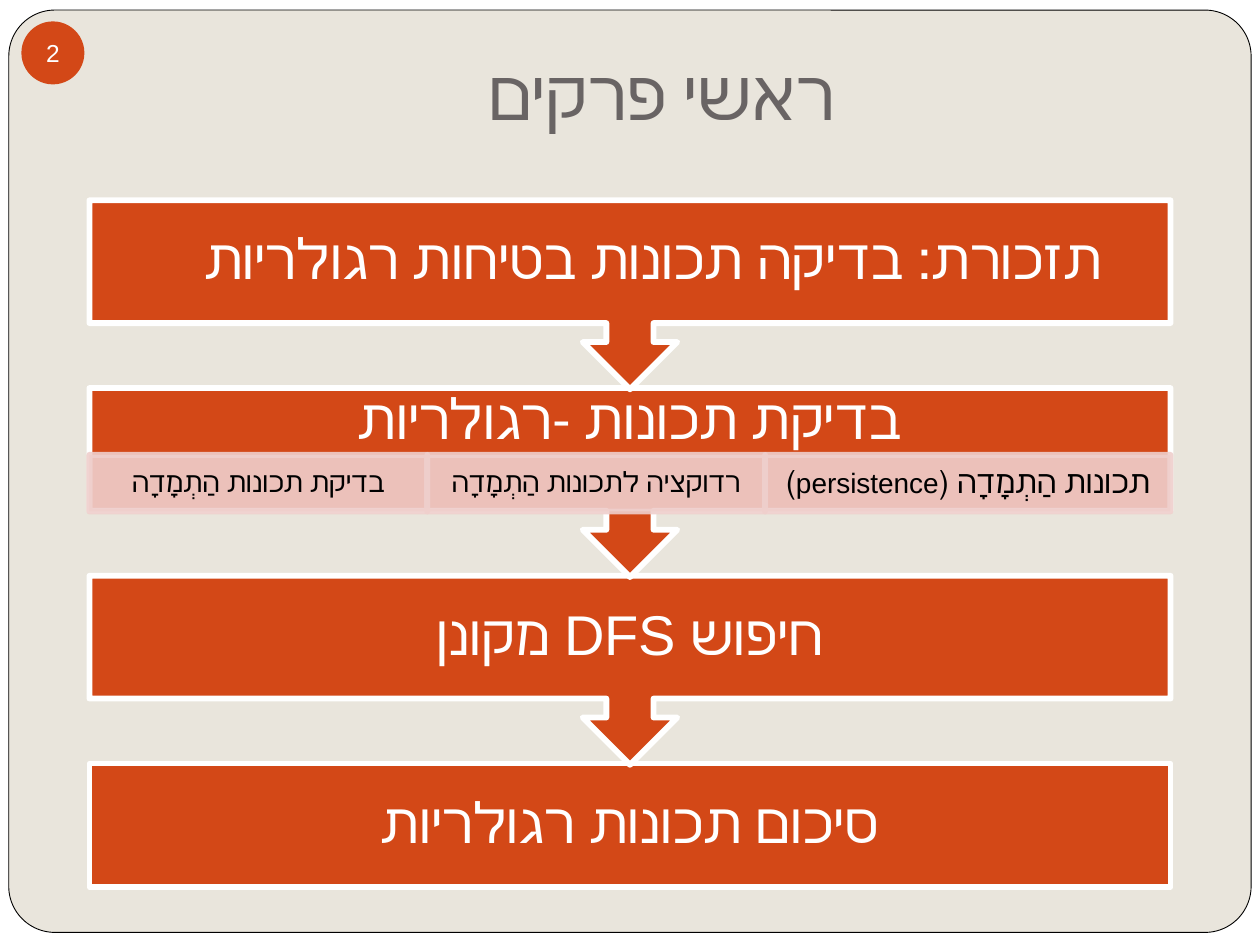
from dataclasses import dataclass
from lxml.etree import SubElement
from pptx import Presentation
from pptx.dml.color import RGBColor
from pptx.enum.shapes import MSO_SHAPE as Shape
from pptx.enum.text import MSO_ANCHOR as Anchor, MSO_AUTO_SIZE as AutoSize, PP_ALIGN as Align
from pptx.oxml.ns import qn
from pptx.util import Inches, Pt

TITLE = "ראשי פרקים"
PAGE_NUMBER = "2"
STEPS = [
    "תזכורת: בדיקה תכונות בטיחות רגולריות\t",
    "בדיקת תכונות -רגולריות",
    "חיפוש DFS מקונן",
    "סיכום תכונות רגולריות",
]
DETAILED_STEP = 1
DETAILS = [
    (5, [("בדיקת תכונות הַתְמָדָה", 16)]),
    (5, [("רדוקציה לתכונות הַתְמָדָה", 16)]),
    (6, [("תכונות הַתְמָדָה (", 18), ("persistence", 16), (")", 18)]),
]


@dataclass(frozen=True)
class Theme:
    font: str = "Arial"
    canvas: str = "E9E5DC"
    white: str = "FFFFFF"
    black: str = "000000"
    heading: str = "696464"
    accent: str = "D34817"
    tint: str = "EFCFCC"
    title_size: int = 40
    step_size: int = 32
    number_size: int = 14
    outline: float = 3.35


THEME = Theme()
WIDTH, HEIGHT = 10, 7.5
FLOW_LEFT, FLOW_TOP, FLOW_WIDTH = 0.71, 1.59, 8.58
ROW_PITCH, BOX_HEIGHT, CALLOUT_HEIGHT = 1.49, 0.98, 1.5
DETAIL_OFFSET, DETAIL_HEIGHT = 0.53, 0.45


def color(code):
    return RGBColor.from_string(code)


def add_block(page, kind, area, fill, line=None, line_width=THEME.outline):
    block = page.shapes.add_shape(kind, *map(Inches, area))
    block.shadow.inherit = False
    block.fill.solid()
    block.fill.fore_color.rgb = color(fill)
    if line:
        block.line.color.rgb = color(line)
        block.line.width = Pt(line_width)
    else:
        block.line.fill.background()
    return block


def write(shape, spans, ink, insets=(0, 0, 0, 0), anchor=Anchor.MIDDLE, rtl=True, spacing=None):
    frame = shape.text_frame
    frame.auto_size = AutoSize.NONE
    frame.word_wrap = rtl
    frame.vertical_anchor = anchor
    frame.margin_left, frame.margin_top, frame.margin_right, frame.margin_bottom = map(Inches, insets)
    para = frame.paragraphs[0]
    para.alignment = Align.CENTER
    if spacing:
        para.line_spacing = spacing
    if rtl:
        para._p.get_or_add_pPr().set("rtl", "1")
    for text, size in spans:
        span = para.add_run()
        span.text = text
        span.font.name = THEME.font
        span.font.size = Pt(size)
        span.font.color.rgb = color(ink)


def add_frame(page, title):
    backdrop = add_block(page, Shape.RECTANGLE, (0, 0, WIDTH, HEIGHT), THEME.white)
    panel = add_block(page, Shape.ROUNDED_RECTANGLE, (0.07, 0.08, 9.86, 7.32),
                      THEME.canvas, THEME.black, 0.5)
    panel.adjustments[0] = 0.05
    for shape in (backdrop, panel):
        title.element.addprevious(shape.element)


def add_step(page, row, text):
    is_last = row == len(STEPS) - 1
    kind = Shape.RECTANGLE if is_last else Shape.DOWN_ARROW_CALLOUT
    height = BOX_HEIGHT if is_last else CALLOUT_HEIGHT
    top = FLOW_TOP + row * ROW_PITCH
    block = add_block(page, kind, (FLOW_LEFT, top, FLOW_WIDTH, height), THEME.accent, THEME.white)
    bottom = DETAIL_HEIGHT if row == DETAILED_STEP else 0
    write(block, [(text, THEME.step_size)], THEME.white, (0.25, 0, 0.25, bottom), spacing=0.9)


def add_details(page):
    top = FLOW_TOP + DETAILED_STEP * ROW_PITCH + DETAIL_OFFSET
    unit = FLOW_WIDTH / sum(share for share, _ in DETAILS)
    left = FLOW_LEFT
    for share, spans in DETAILS:
        cell = add_block(page, Shape.RECTANGLE, (left, top, share * unit, DETAIL_HEIGHT),
                         THEME.tint, THEME.tint)
        for tint in list(cell.element.spPr.iter(qn("a:srgbClr"))):
            SubElement(tint, qn("a:alpha")).set("val", "90000")
        write(cell, spans, THEME.black, (0.12, 0.02, 0.12, 0.02), spacing=0.9)
        left += share * unit


def main():
    deck = Presentation()
    deck.slide_width, deck.slide_height = Inches(WIDTH), Inches(HEIGHT)
    page = deck.slides.add_slide(deck.slide_layouts[5])
    page.background.fill.solid()
    page.background.fill.fore_color.rgb = color(THEME.canvas)

    title = page.shapes.title
    title.left, title.top, title.width, title.height = map(Inches, (1, -0.08, 8.5, 1.25))
    write(title, [(TITLE, THEME.title_size)], THEME.heading, (0.1, 0.05, 0.1, 0.1), Anchor.BOTTOM)
    add_frame(page, title)

    badge = add_block(page, Shape.OVAL, (0.17, 0.17, 0.5, 0.5), THEME.accent)
    write(badge, [(PAGE_NUMBER, THEME.number_size)], THEME.white, rtl=False)

    for row, text in reversed(list(enumerate(STEPS))):
        add_step(page, row, text)
        if row == DETAILED_STEP:
            add_details(page)
    deck.save("out.pptx")


if __name__ == "__main__":
    main()
